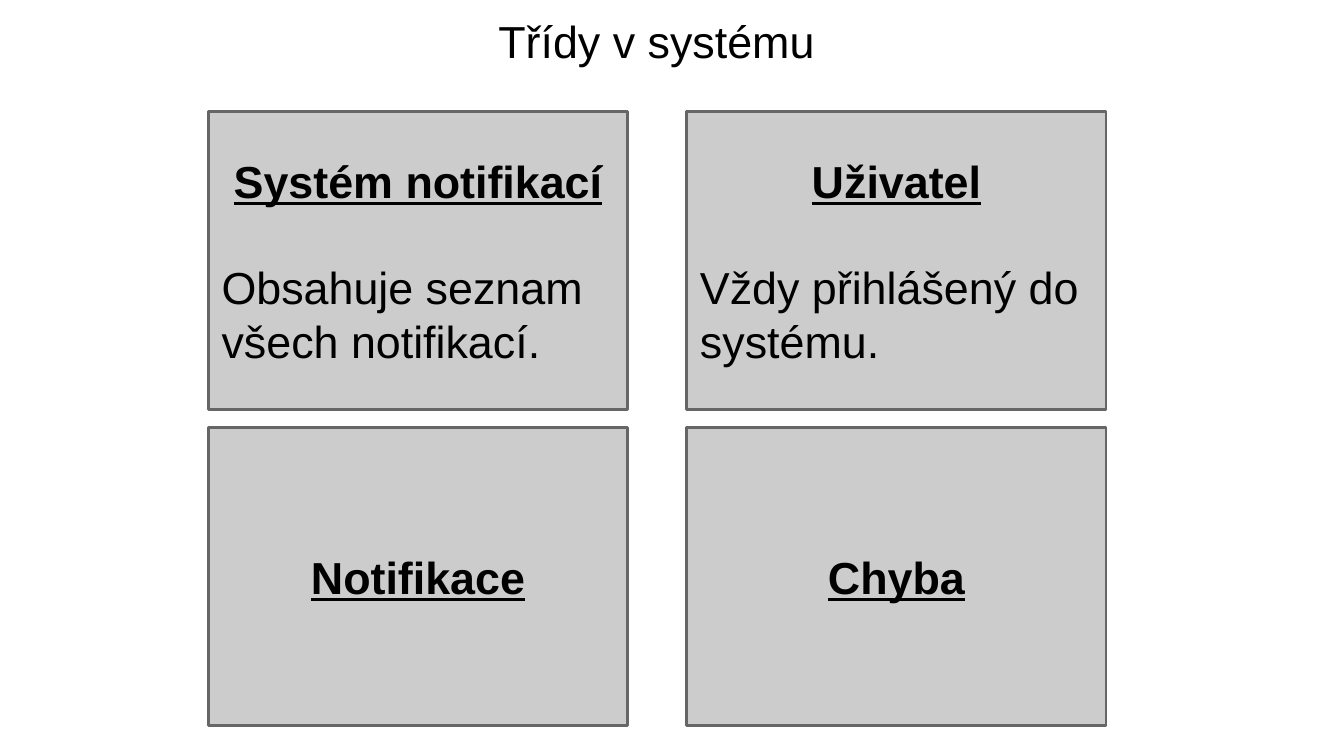
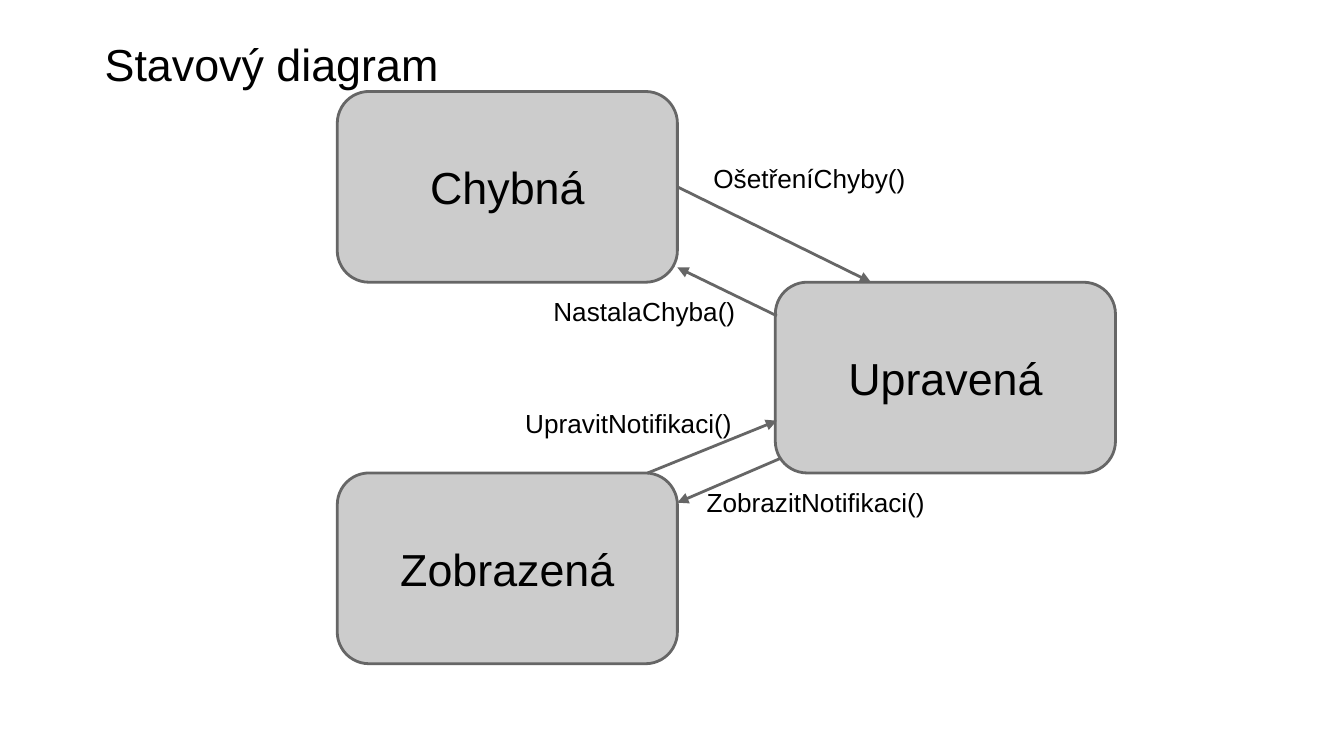
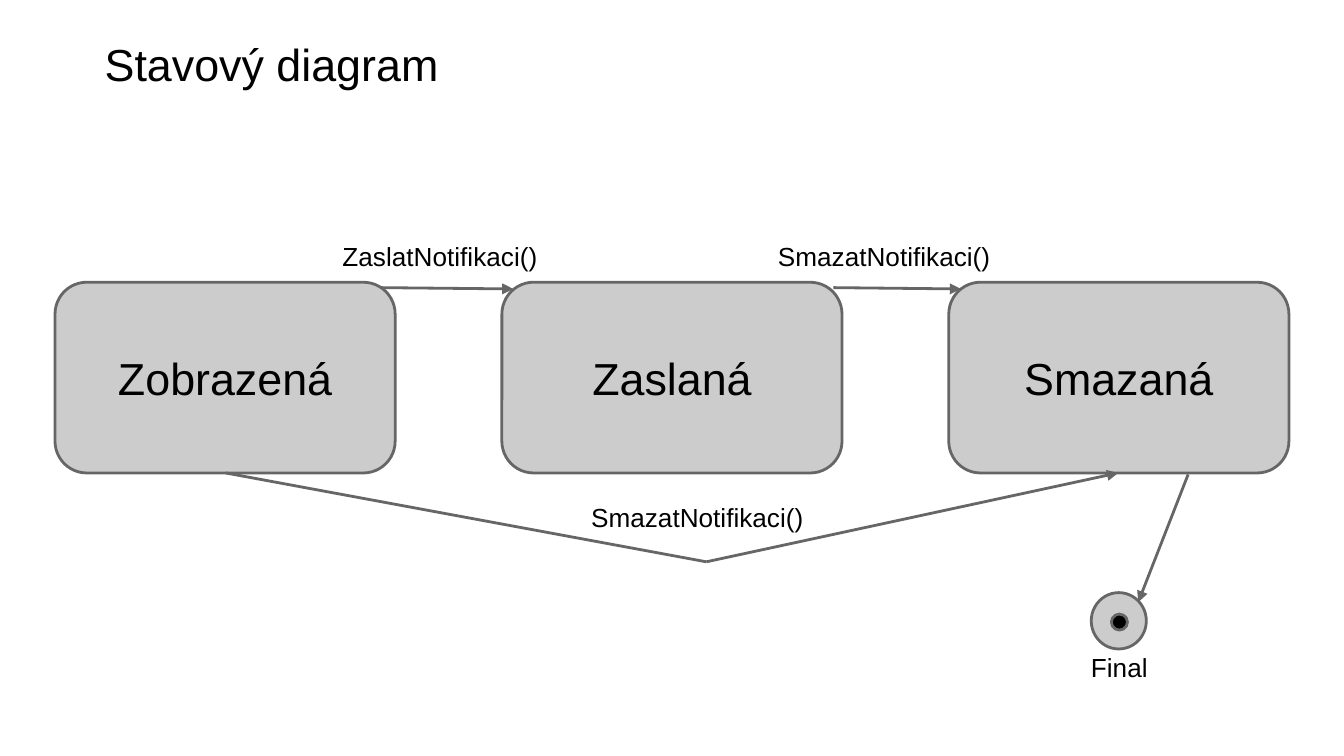
import pptx
import pptx.dml.color
import pptx.enum.shapes
import pptx.enum.text
import pptx.oxml.ns
import pptx.util
from lxml import etree

Pt = pptx.util.Pt
rgb = pptx.dml.color.RGBColor.from_string
qn = pptx.oxml.ns.qn
MSO_SHAPE = pptx.enum.shapes.MSO_SHAPE
ALIGN = pptx.enum.text.PP_ALIGN
ANCHOR = pptx.enum.text.MSO_ANCHOR

FILL, EDGE, INK = "CCCCCC", "666666", "000000"
FONT = "Arial"
LARGE, SMALL = 24, 14
LINE_WIDTH, INSET = 1.5, 7.2
CARD_SIZE = 224.6, 159.8
STATE_SIZE = 182.2, 102.2
LABEL_SIZE = 141.1, 56.2
TITLE_HEIGHT = 56.2


def write(holder, paragraphs, size, align, anchor=ANCHOR.TOP):
    """Fill a shape or text box; each paragraph is (text, is_heading, alignment or None)."""
    frame = holder.text_frame
    frame.word_wrap = True
    frame.vertical_anchor = anchor
    frame.margin_left = frame.margin_right = Pt(INSET)
    frame.margin_top = frame.margin_bottom = Pt(INSET)
    for index, (text, is_heading, own_align) in enumerate(paragraphs):
        paragraph = frame.add_paragraph() if index else frame.paragraphs[0]
        paragraph.alignment = own_align or align
        if is_heading and index < len(paragraphs) - 1:
            paragraph.space_after = Pt(28)
        run = paragraph.add_run()
        run.text = text
        run.font.name = FONT
        run.font.size = Pt(size)
        run.font.bold = run.font.underline = is_heading
        run.font.color.rgb = rgb(INK)


def add_outlined(slide, kind, left, top, width, height, fill=FILL):
    shape = slide.shapes.add_shape(kind, Pt(left), Pt(top), Pt(width), Pt(height))
    shape.shadow.inherit = False
    shape.fill.solid()
    shape.fill.fore_color.rgb = rgb(fill)
    shape.line.color.rgb = rgb(EDGE)
    shape.line.width = Pt(LINE_WIDTH)
    return shape


deck = pptx.Presentation()
deck.slide_width, deck.slide_height = Pt(720), Pt(405)
classes, editing, sending = [deck.slides.add_slide(deck.slide_layouts[6]) for _ in range(3)]

# Titles
for slide, title, left, top, width, align in [
    (classes, "Třídy v systému", 111.6, 0, 480.2, ALIGN.CENTER),
    (editing, "Stavový diagram", 49, 12.2, 483, ALIGN.LEFT),
    (sending, "Stavový diagram", 49, 12.2, 483, ALIGN.LEFT),
]:
    title_box = slide.shapes.add_textbox(Pt(left), Pt(top), Pt(width), Pt(TITLE_HEIGHT))
    write(title_box, [(title, False, None)], LARGE, align)

# Class cards in a two by two grid
for index, (name, description) in enumerate([
    ("Systém notifikací", "Obsahuje seznam všech notifikací."),
    ("Uživatel", "Vždy přihlášený do systému."),
    ("Notifikace", None),
    ("Chyba", None),
]):
    row, column = divmod(index, 2)
    card = add_outlined(classes, MSO_SHAPE.RECTANGLE,
                        111.6 + 256.3 * column, 59.8 + 169.2 * row, *CARD_SIZE)
    paragraphs = [(name, True, None)]
    if description:
        paragraphs.append((description, False, ALIGN.LEFT))
    write(card, paragraphs, LARGE, ALIGN.CENTER, ANCHOR.MIDDLE)

# States
middle_row = 151.2
for slide, name, left, top in [
    (editing, "Chybná", 180.7, middle_row - STATE_SIZE[1]),
    (editing, "Upravená", 415.4, middle_row),
    (editing, "Zobrazená", 180.7, middle_row + STATE_SIZE[1]),
    *[(sending, name, 29.5 + 239.4 * column, middle_row)
      for column, name in enumerate(["Zobrazená", "Zaslaná", "Smazaná"])],
]:
    state = add_outlined(slide, MSO_SHAPE.ROUNDED_RECTANGLE, left, top, *STATE_SIZE)
    write(state, [(name, False, None)], LARGE, ALIGN.CENTER, ANCHOR.MIDDLE)

# Final state
add_outlined(sending, MSO_SHAPE.OVAL, 584.6, 317.5, 29.5, 30.2)
add_outlined(sending, MSO_SHAPE.OVAL, 595.4, 329, 8.6, 8.6, INK)

# Transition names
for slide, name, left, top in [
    (editing, "OšetřeníChyby()", 375.1, 79.9),
    (editing, "NastalaChyba()", 289.4, 151.2),
    (editing, "UpravitNotifikaci()", 274.3, 211),
    (editing, "ZobrazitNotifikaci()", 371.5, 253.4),
    (sending, "ZaslatNotifikaci()", 176.4, 121.7),
    (sending, "SmazatNotifikaci()", 409.7, 121.7),
    (sending, "SmazatNotifikaci()", 309.6, 261.4),
    (sending, "Final", 577.4, 342),
]:
    label = slide.shapes.add_textbox(Pt(left), Pt(top), *map(Pt, LABEL_SIZE))
    write(label, [(name, False, None)], SMALL, ALIGN.LEFT)

# Transitions
for slide, start, end, has_arrowhead in [
    (editing, (362.9, 100.1), (466.6, 151.2), True),
    (editing, (416.2, 169.2), (362.9, 143.3), True),
    (editing, (347, 253.4), (416.2, 225.4), True),
    (editing, (418.3, 245.5), (362.9, 269.3), True),
    (sending, (203.8, 154.1), (275, 154.8), True),
    (sending, (446.4, 154.1), (514.8, 154.8), True),
    (sending, (121, 253.4), (378.4, 301), False),
    (sending, (378.4, 301), (599, 253.4), True),
    (sending, (636.5, 254.2), (609.8, 322.6), True),
]:
    transition = slide.shapes.add_connector(
        pptx.enum.shapes.MSO_CONNECTOR.STRAIGHT, *map(Pt, start + end))
    transition.line.color.rgb = rgb(EDGE)
    transition.line.width = Pt(LINE_WIDTH)
    properties = transition.element.spPr
    etree.SubElement(properties, qn("a:effectLst"))
    if has_arrowhead:
        etree.SubElement(properties.find(qn("a:ln")), qn("a:tailEnd"), type="triangle")

deck.save("out.pptx")
